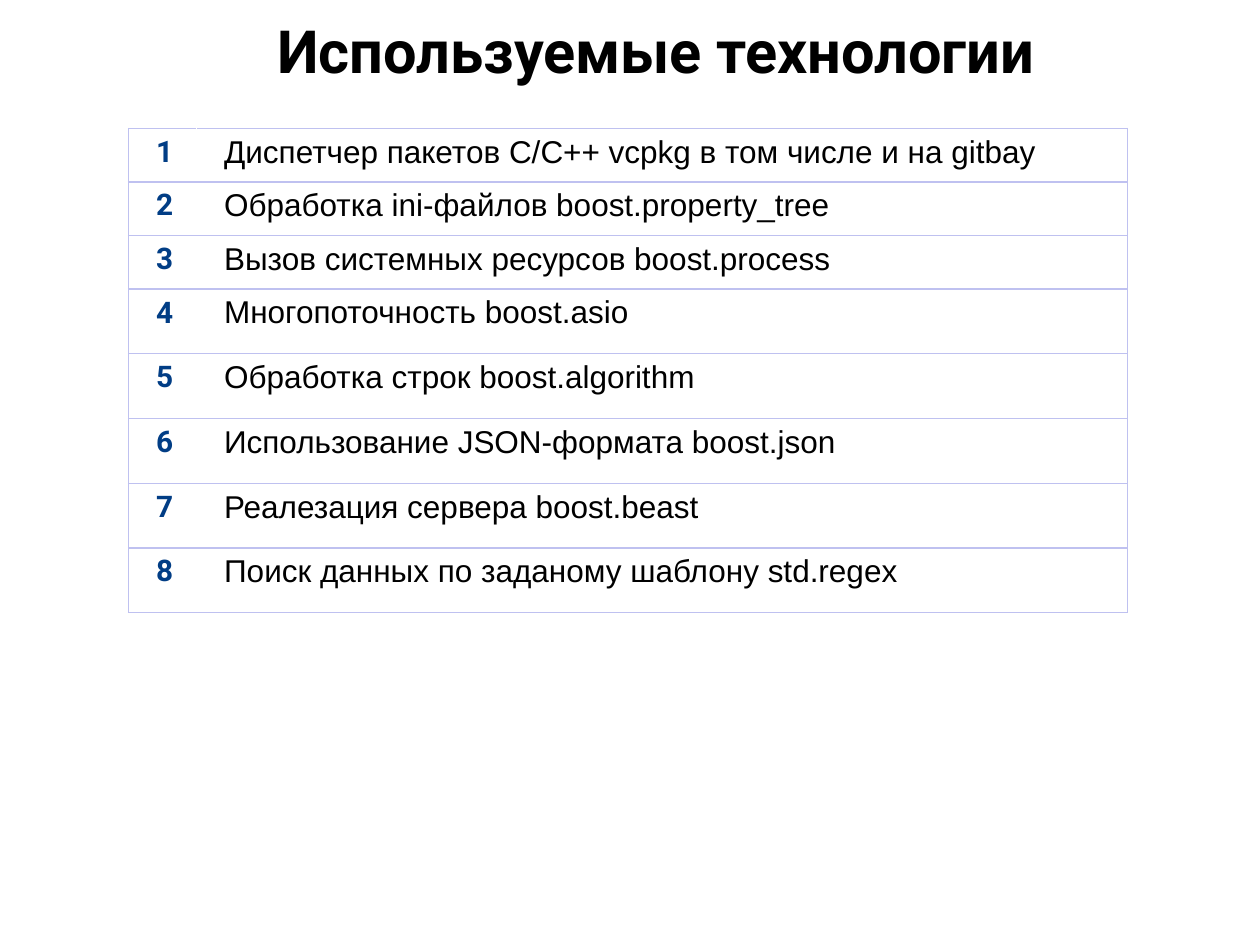
from lxml import etree
from pptx import Presentation
from pptx.dml.color import RGBColor
from pptx.enum.text import MSO_ANCHOR, MSO_AUTO_SIZE, PP_ALIGN
from pptx.oxml.ns import qn
from pptx.util import Pt

CENTER, LEFT = PP_ALIGN.CENTER, PP_ALIGN.LEFT
TOP = MSO_ANCHOR.TOP
NO_AUTOFIT = MSO_AUTO_SIZE.NONE
TITLE_ONLY = 5

BLACK = RGBColor(0x00, 0x00, 0x00)
WHITE = RGBColor(0xFF, 0xFF, 0xFF)
NAVY = RGBColor(0x01, 0x3D, 0x85)
LILAC = RGBColor(0xBF, 0xC1, 0xF0)

TITLE_FONT = {"name": "Roboto", "size": Pt(34), "bold": True}
NUMBER_FONT = {"name": "Roboto", "size": Pt(17), "bold": True}
TEXT_FONT = {"name": "Arial", "size": Pt(18), "bold": False}
CELL_FORMAT = {
    "margin_left": Pt(15.8), "margin_right": Pt(7.2),
    "margin_top": Pt(3.6), "margin_bottom": Pt(3.6),
    "vertical_anchor": TOP,
}
NUMBER_BORDERS = {"lnL": LILAC, "lnR": WHITE, "lnT": LILAC, "lnB": LILAC}
TEXT_BORDERS = {"lnL": WHITE, "lnR": LILAC, "lnT": LILAC, "lnB": LILAC}

TECHNOLOGIES = [
    "Диспетчер пакетов C/C++ vcpkg в том числе и на gitbay",
    "Обработка ini-файлов boost.property_tree",
    "Вызов системных ресурсов boost.process",
    "Многопоточность boost.asio",
    "Обработка строк boost.algorithm",
    "Использование JSON-формата boost.json",
    "Реалезация сервера boost.beast",
    "Поиск данных по заданому шаблону std.regex",
]
ROW_HEIGHTS = [Pt(30.6)] * 3 + [Pt(37)] * 5
COLUMN_WIDTHS = [Pt(38.9), Pt(532.2)]


def write_text(para, text, font_format, color, alignment):
    para.alignment = alignment
    span = para.add_run()
    span.text = text
    for name, value in font_format.items():
        setattr(span.font, name, value)
    span.font.color.rgb = color


def set_borders(cell, borders):
    properties = cell._tc.get_or_add_tcPr()
    for side, color in borders.items():
        line = etree.SubElement(properties, qn(f"a:{side}"), w=str(Pt(0.75)))
        fill = etree.SubElement(line, qn("a:solidFill"))
        etree.SubElement(fill, qn("a:srgbClr"), val=str(color))


deck = Presentation()
deck.slide_width, deck.slide_height = Pt(720), Pt(540)
page = deck.slides.add_slide(deck.slide_layouts[TITLE_ONLY])

title = page.shapes.title
title.left, title.top, title.width, title.height = Pt(39.6), Pt(0.7), Pt(670.3), Pt(102.2)
frame = title.text_frame
frame.auto_size = NO_AUTOFIT
frame.word_wrap = True
frame.vertical_anchor = TOP
for side in ("left", "right", "top", "bottom"):
    setattr(frame, f"margin_{side}", Pt(7.2))
write_text(frame.paragraphs[0], "Используемые технологии", TITLE_FONT, BLACK, CENTER)

table = page.shapes.add_table(
    len(TECHNOLOGIES), len(COLUMN_WIDTHS), Pt(73.4), Pt(73.4),
    sum(COLUMN_WIDTHS), sum(ROW_HEIGHTS),
).table
table.first_row = False
table.horz_banding = False
for column, width in zip(table.columns, COLUMN_WIDTHS):
    column.width = width

for index, (technology, height) in enumerate(zip(TECHNOLOGIES, ROW_HEIGHTS)):
    row = table.rows[index]
    row.height = height
    contents = [
        (str(index + 1), NUMBER_FONT, NAVY, NUMBER_BORDERS),
        (technology, TEXT_FONT, BLACK, TEXT_BORDERS),
    ]
    for cell, (text, font_format, color, borders) in zip(row.cells, contents):
        for name, value in CELL_FORMAT.items():
            setattr(cell, name, value)
        set_borders(cell, borders)
        cell.fill.background()
        write_text(cell.text_frame.paragraphs[0], text, font_format, color, LEFT)

deck.save("out.pptx")
